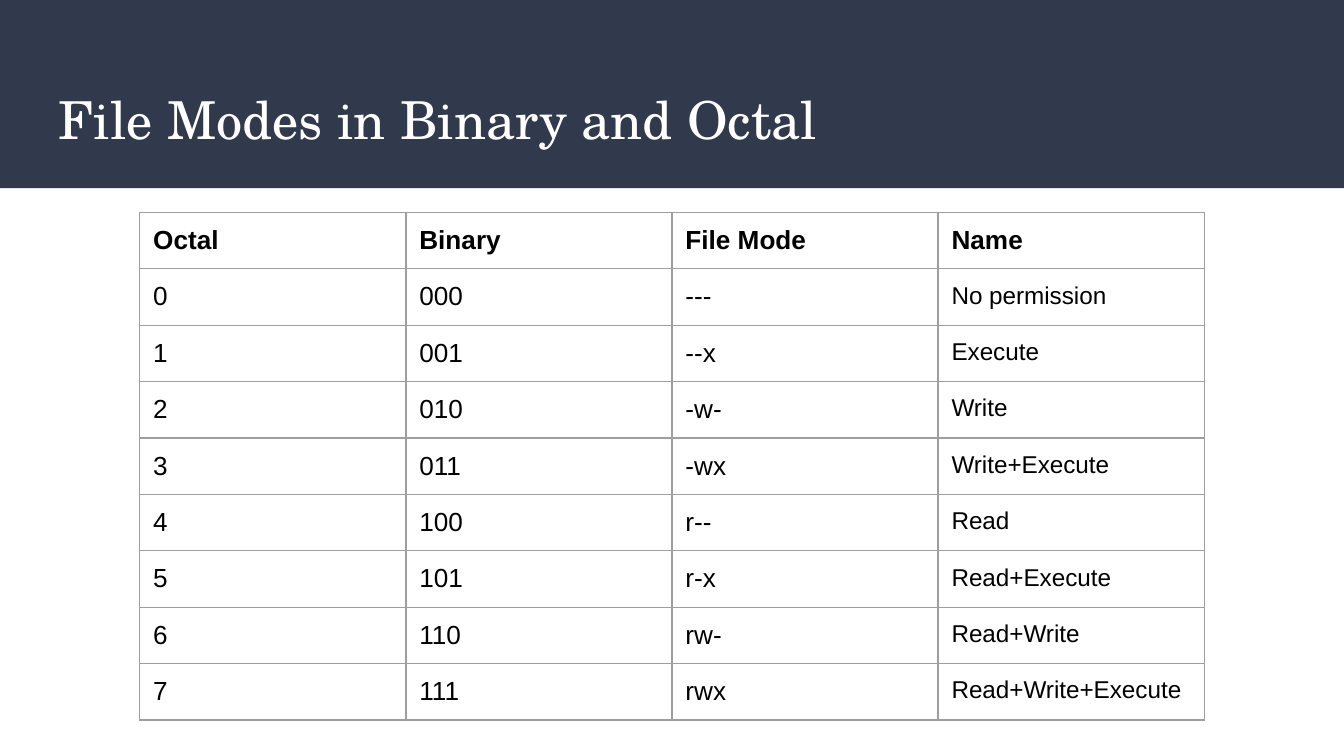
"""Build a slide with a table of file modes in binary and octal."""
from lxml import etree
from pptx import Presentation, util as u
from pptx.dml.color import RGBColor
from pptx.enum import shapes, text
from pptx.oxml.ns import qn

TITLE = "File Modes in Binary and Octal"
HEAD = ("Octal", "Binary", "File Mode", "Name")
MODES = [
    ("0", "000", "---", "No permission"),
    ("1", "001", "--x", "Execute"),
    ("2", "010", "-w-", "Write"),
    ("3", "011", "-wx", "Write+Execute"),
    ("4", "100", "r--", "Read"),
    ("5", "101", "r-x", "Read+Execute"),
    ("6", "110", "rw-", "Read+Write"),
    ("7", "111", "rwx", "Read+Write+Execute"),
]
WIDE = 10
HIGH = WIDE * 9 / 16
COL, ROW = 1.98, 0.42
NAVY, WHITE, BLACK, GREY = "31394D", "FFFFFF", "000000", "9E9E9E"


def color(code):
    return RGBColor.from_string(code)


def write(frame, words, size, face, code, bold=False):
    run = frame.paragraphs[0].add_run()
    run.text = words
    font = run.font
    font.size, font.name, font.bold = u.Pt(size), face, bold
    font.color.rgb = color(code)


def pad(box, low=0.1):
    box.margin_left = box.margin_right = box.margin_top = u.Inches(0.1)
    box.margin_bottom = u.Inches(low)


def border(cell, code, width):
    props = cell._tc.get_or_add_tcPr()
    for side in ("lnL", "lnR", "lnT", "lnB"):
        line = etree.SubElement(props, qn("a:" + side), w=str(u.Pt(width)))
        fill = etree.SubElement(line, qn("a:solidFill"))
        etree.SubElement(fill, qn("a:srgbClr"), val=code)


def add_title(slide):
    band = slide.shapes.add_shape(
        shapes.MSO_SHAPE.RECTANGLE, 0, 0, u.Inches(WIDE), u.Inches(1.4))
    band.shadow.inherit = False
    band.fill.solid()
    band.fill.fore_color.rgb = color(NAVY)
    band.line.fill.background()
    left = 0.34
    box = slide.shapes.add_textbox(
        u.Inches(left), u.Inches(0.54), u.Inches(WIDE - 2 * left), u.Inches(0.68))
    frame = box.text_frame
    frame.word_wrap = True
    frame.vertical_anchor = text.MSO_ANCHOR.MIDDLE
    pad(frame)
    write(frame, TITLE, 28, "TeX Gyre Schola", WHITE)


def add_modes(slide):
    rows = [HEAD, *MODES]
    wide, high = COL * len(HEAD), ROW * len(rows)
    table = slide.shapes.add_table(
        len(rows), len(HEAD), u.Inches((WIDE - wide) / 2), u.Inches(1.58),
        u.Inches(wide), u.Inches(high)).table
    table.first_row = table.horz_banding = False
    for col in table.columns:
        col.width = u.Inches(COL)
    for r, row in enumerate(rows):
        table.rows[r].height = u.Inches(ROW)
        for c, words in enumerate(row):
            cell = table.cell(r, c)
            pad(cell, 0.08)
            border(cell, GREY, 0.75)
            cell.fill.background()
            size = 13 if r and HEAD[c] == "Name" else 14
            write(cell.text_frame, words, size, "Arial", BLACK, r == 0)


def main():
    deck = Presentation()
    deck.slide_width, deck.slide_height = u.Inches(WIDE), u.Inches(HIGH)
    slide = deck.slides.add_slide(deck.slide_layouts[6])
    add_title(slide)
    add_modes(slide)
    deck.save("out.pptx")


if __name__ == "__main__":
    main()
